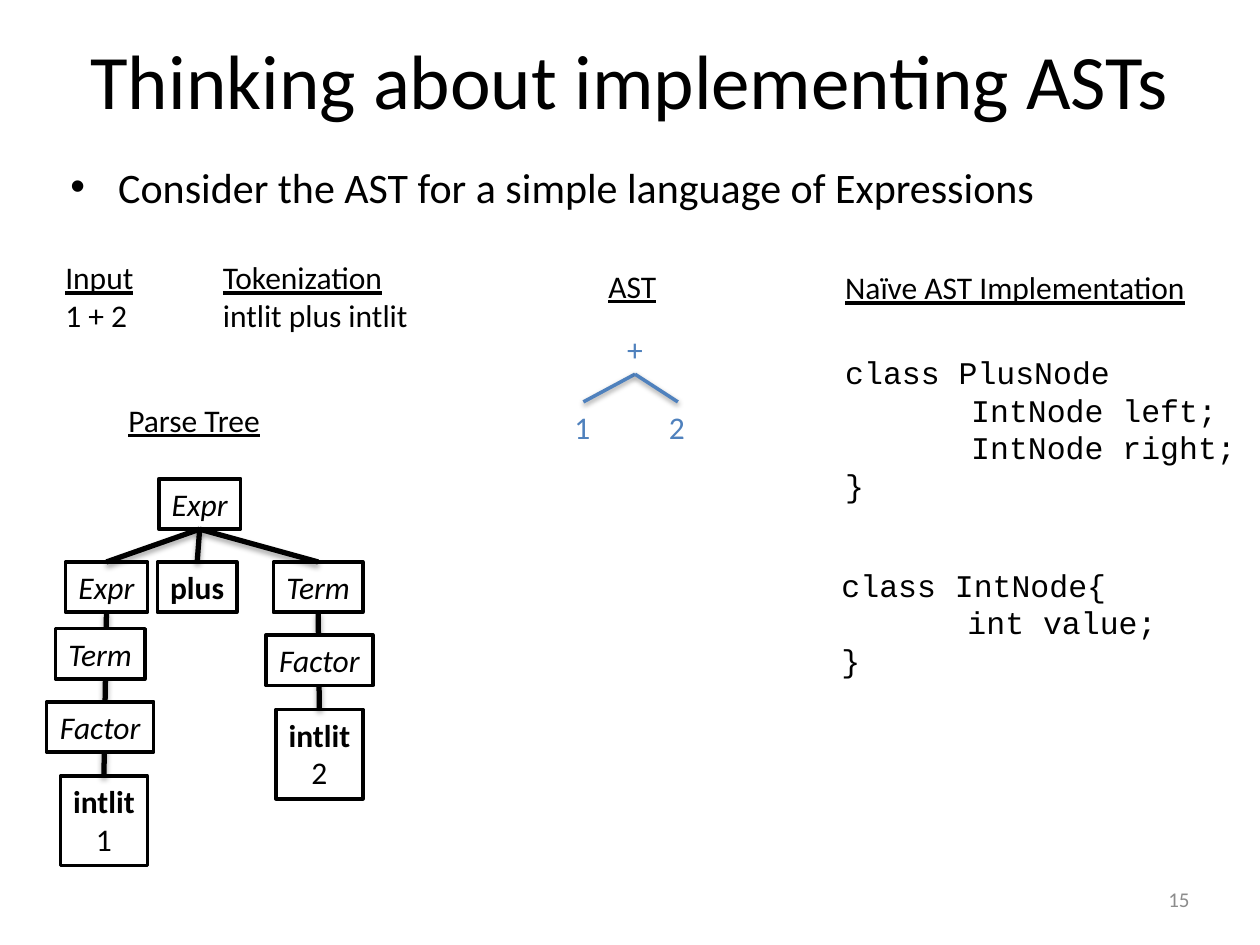
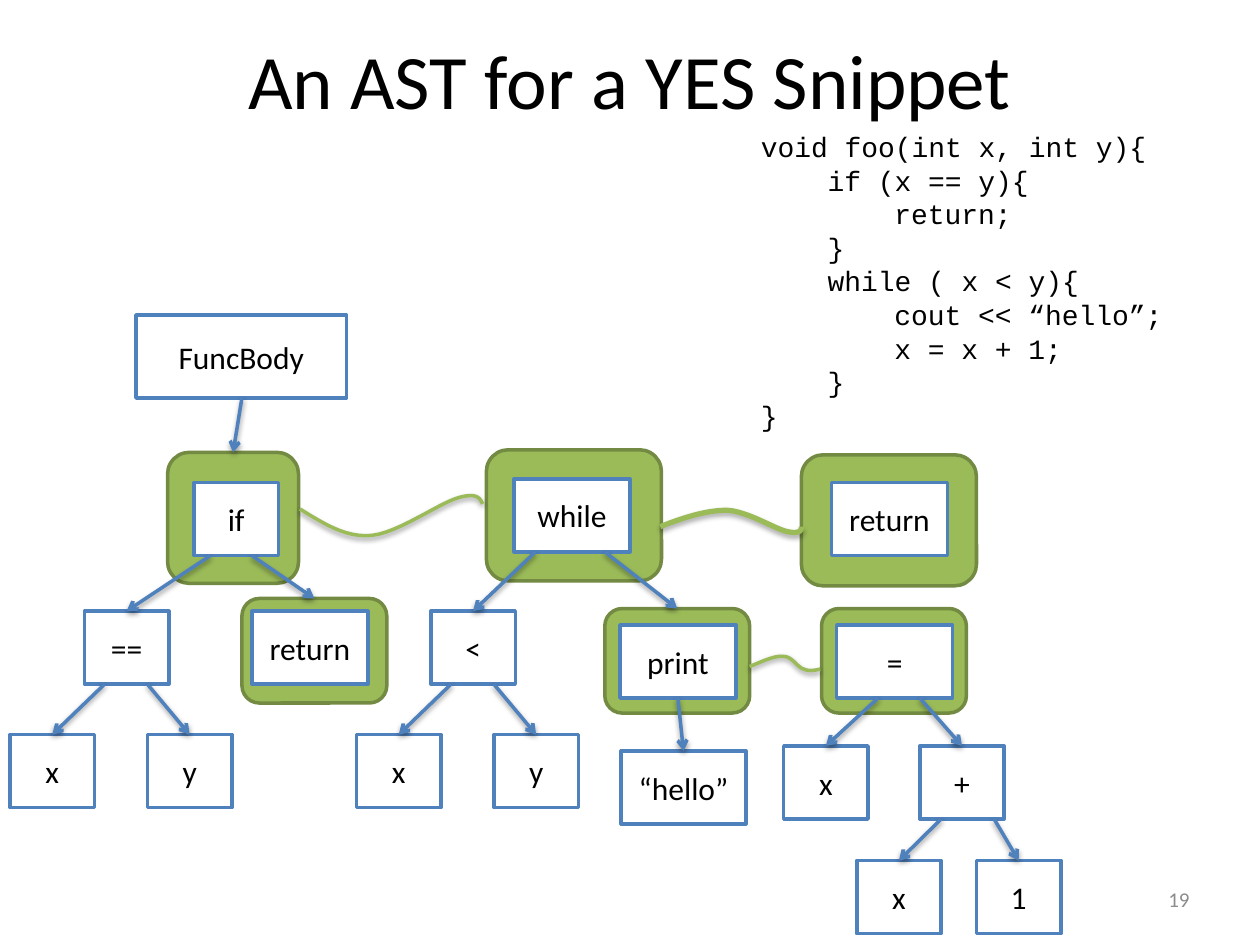
"""Two lecture slides on abstract syntax trees."""
from lxml import etree
from pptx import Presentation
from pptx import util as u
from pptx.dml.color import RGBColor
from pptx.enum import shapes, text
from pptx.oxml.ns import qn

COLORS = {
    "ink": "000000", "paper": "FFFFFF", "number": "8C8C8C",
    "blue": "4F81BD", "green": "9BBB59", "green_edge": "738A42",
}
BODY, CODE = "Calibri", "Courier New"
LEFT, CENTER, RIGHT = text.PP_ALIGN.LEFT, text.PP_ALIGN.CENTER, text.PP_ALIGN.RIGHT


def rgb(name):
    """Return the named palette colour."""
    return RGBColor.from_string(COLORS[name])


def curve_points(start, segments, steps=12):
    """Sample a chain of cubic Bezier segments given in inches."""
    points = [start]
    for first, second, end in segments:
        corners = (points[-1], first, second, end)
        for step in range(1, steps + 1):
            t = step / steps
            weights = ((1 - t) ** 3, 3 * t * (1 - t) ** 2, 3 * t * t * (1 - t), t ** 3)
            points.append(tuple(sum(w * c[axis] for w, c in zip(weights, corners))
                                for axis in (0, 1)))
    return points


class Deck:
    """Shared style plus the slide being drawn."""

    def __init__(self):
        """Start a 10 by 7.5 inch presentation."""
        self.presentation = Presentation()
        self.presentation.slide_width = u.Inches(10)
        self.presentation.slide_height = u.Inches(7.5)
        self.slide = None

    def new_slide(self, title, number):
        """Add a blank slide with its title and page number."""
        self.slide = self.presentation.slides.add_slide(self.presentation.slide_layouts[6])
        middle = text.MSO_ANCHOR.MIDDLE
        self.label((0.5, 0, 9, 1.25), [(title, "")], size=44, align=CENTER,
                   anchor=middle, wrap=True)
        self.label((7.21, 6.94, 2.33, 0.4), [(number, "")], size=12, align=RIGHT,
                   color="number", anchor=middle, wrap=True)

    def fill_text(self, shape, lines, size=18, font=BODY, color="ink", align=LEFT,
                  anchor=text.MSO_ANCHOR.TOP, wrap=False):
        """Fill a shape with (words, style) lines; style mixes b, i and u."""
        frame = shape.text_frame
        frame.word_wrap = wrap
        frame.vertical_anchor = anchor
        for index, (words, style) in enumerate(lines):
            paragraph = frame.add_paragraph() if index else frame.paragraphs[0]
            paragraph.alignment = align
            run = paragraph.add_run()
            run.text = words
            run.font.name, run.font.size = font, u.Pt(size)
            run.font.color.rgb = rgb(color)
            run.font.bold = "b" in style
            run.font.italic = "i" in style
            run.font.underline = "u" in style
        return frame

    def label(self, box, lines, **style):
        """Add a text box."""
        shape = self.slide.shapes.add_textbox(*map(u.Inches, box))
        return self.fill_text(shape, lines, **style)

    def bullet(self, box, words):
        """Add a text box holding one bulleted line."""
        paragraph = self.label(box, [(words, "")], size=24, wrap=True).paragraphs[0]
        paragraph.space_before = u.Pt(4.8)
        properties = self.indent(paragraph, 0.38, -0.38)
        etree.SubElement(properties, qn("a:buFont"), typeface="Arial")
        etree.SubElement(properties, qn("a:buChar"), char="•")

    def indent(self, paragraph, margin, first=0):
        """Set the left margin and first-line indent of a paragraph."""
        properties = paragraph._p.get_or_add_pPr()
        properties.set("marL", str(u.Inches(margin)))
        properties.set("indent", str(u.Inches(first)))
        return properties

    def code(self, box, lines, size, step, wrap=False):
        """Add a listing of (depth, words) lines, each depth indented one step."""
        frame = self.label(box, [(words, "") for _, words in lines],
                           size=size, font=CODE, wrap=wrap)
        for paragraph, (depth, _) in zip(frame.paragraphs, lines):
            self.indent(paragraph, depth * step)

    def box(self, place, fill="paper", edge="ink", kind=shapes.MSO_SHAPE.RECTANGLE):
        """Add a filled preset shape with a two-point outline."""
        shape = self.slide.shapes.add_shape(kind, *map(u.Inches, place))
        shape.shadow.inherit = False
        shape.fill.solid()
        shape.fill.fore_color.rgb = rgb(fill)
        shape.line.color.rgb = rgb(edge)
        shape.line.width = u.Pt(2)
        return shape

    def parse_node(self, place, *lines):
        """Add a black-edged parse tree node."""
        shape = self.box(place)
        self.fill_text(shape, lines, align=CENTER)
        return shape

    def ast_node(self, words, left, top, width=0.67, height=0.58):
        """Add a blue-edged AST node."""
        shape = self.box((left, top, width, height), edge="blue")
        self.fill_text(shape, [(words, "")], align=CENTER, anchor=text.MSO_ANCHOR.MIDDLE)
        return shape

    def frame(self, *place):
        """Add a green rounded frame behind a statement."""
        return self.box(place, "green", "green_edge", shapes.MSO_SHAPE.ROUNDED_RECTANGLE)

    def stroke(self, shape, color, weight, arrow=False):
        """Style a line and give it the soft shadow of its weight."""
        shape.line.color.rgb = rgb(color)
        shape.line.width = u.Pt(weight)
        properties = shape._element.spPr
        if arrow:
            etree.SubElement(properties.find(qn("a:ln")), qn("a:tailEnd"), type="arrow")
        effects = properties.find(qn("a:effectLst"))
        if effects is None:
            effects = etree.SubElement(properties, qn("a:effectLst"))
        distance, alpha = (1.8, 35000) if weight == 3 else (1.6, 38000)
        shadow = etree.SubElement(effects, qn("a:outerShdw"), blurRad=str(u.Pt(3.1)),
                                  dist=str(u.Pt(distance)), dir="5400000", rotWithShape="0")
        tint = etree.SubElement(shadow, qn("a:srgbClr"), val=COLORS["ink"])
        etree.SubElement(tint, qn("a:alpha"), val=str(alpha))

    def connector(self, start, end, color, weight, arrow=False):
        """Draw a straight line between two points in EMU."""
        line = self.slide.shapes.add_connector(shapes.MSO_CONNECTOR.STRAIGHT, *start, *end)
        self.stroke(line, color, weight, arrow)
        return line

    def branch(self, parent, child):
        """Join a parse tree node to one below it."""
        line = self.connector((0, 0), (0, 0), "ink", 3)
        line.begin_connect(parent, 2)
        line.end_connect(child, 0)

    def arrow(self, parent, child, offset):
        """Point from the parent's lower edge, offset from its left, to the child's top."""
        start = parent.left + u.Inches(offset), parent.top + parent.height
        end = child.left + child.width // 2, child.top
        self.connector(start, end, "blue", 2, arrow=True)

    def curve(self, start, segments, weight=2):
        """Draw an open green curve between sibling statements."""
        points = [(u.Inches(x), u.Inches(y)) for x, y in curve_points(start, segments)]
        builder = self.slide.shapes.build_freeform(*points[0])
        builder.add_line_segments(points[1:], close=False)
        shape = builder.convert_to_shape()
        shape.shadow.inherit = False
        shape.fill.background()
        self.stroke(shape, "green", weight)


def implementing_slide(deck):
    """Parse tree, AST and classes for 1 + 2."""
    deck.new_slide("Thinking about implementing ASTs", "15")
    deck.bullet((0.46, 1.23, 8.75, 4.95),
                "Consider the AST for a simple language of Expressions")
    deck.label((0.42, 2, 0.75, 0.71), [("Input", "u"), ("1 + 2", "")])
    deck.label((1.67, 2, 1.69, 0.71), [("Tokenization", "u"), ("intlit plus intlit", "")])
    for heading, place in (("Parse Tree", (0.92, 3.13, 1.26, 0.4)),
                           ("AST", (4.73, 2.07, 0.58, 0.4)),
                           ("Naïve AST Implementation", (6.61, 2.08, 2.93, 0.4))):
        deck.label(place, [(heading, "u")])

    root = deck.parse_node((1.26, 3.8, 0.65, 0.4), ("Expr", "i"))
    expr = deck.parse_node((0.52, 4.46, 0.65, 0.4), ("Expr", "i"))
    plus = deck.parse_node((1.25, 4.46, 0.63, 0.4), ("plus", "b"))
    term = deck.parse_node((2.17, 4.46, 0.71, 0.4), ("Term", "i"))
    one = deck.parse_node((0.48, 6.16, 0.69, 0.71), ("intlit", "b"), ("1", ""))
    two = deck.parse_node((2.19, 5.63, 0.69, 0.71), ("intlit", "b"), ("2", ""))
    for parent, child in ((root, expr), (root, plus), (root, term), (expr, one), (term, two)):
        deck.branch(parent, child)
    # These nodes sit on top of the long branches.
    deck.parse_node((0.44, 4.99, 0.71, 0.4), ("Term", "i"))
    deck.parse_node((0.37, 5.57, 0.85, 0.4), ("Factor", "i"))
    deck.parse_node((2.11, 5.04, 0.85, 0.4), ("Factor", "i"))

    for symbol, left, top in (("+", 4.88, 2.57), ("1", 4.46, 3.19), ("2", 5.21, 3.19)):
        deck.label((left, top, 0.33, 0.4), [(symbol, "")], color="blue")
    for x in (4.63, 5.38):
        deck.connector((u.Inches(5.04), u.Inches(2.97)), (u.Inches(x), u.Inches(3.19)),
                       "blue", 2)

    deck.code((6.61, 2.75, 3.32, 1.31),
              [(0, "class PlusNode"), (1, "IntNode left;"), (1, "IntNode right;"), (0, "}")],
              size=18, step=1)
    deck.code((6.58, 4.44, 2.72, 1.01),
              [(0, "class IntNode{"), (1, "int value;"), (0, "}")], size=18, step=1)


def snippet_slide(deck):
    """AST of a short function, with statement lists in green."""
    deck.new_slide("An AST for a YES Snippet", "19")
    deck.code((5.94, 0.98, 3.42, 2.52),
              [(0, "void foo(int x, int y){"), (1, "if (x == y){"), (2, "return;"),
               (1, "}"), (1, "while ( x < y){"), (2, "cout << “hello”;"),
               (2, "x = x + 1;"), (1, "}"), (0, "}")], size=16, step=0.53, wrap=True)

    if_frame = deck.frame(1.33, 3.59, 1.04, 1.04)
    deck.frame(3.86, 3.57, 1.39, 1.04)
    deck.frame(6.36, 3.61, 1.39, 1.04)
    return_frame = deck.frame(1.92, 4.75, 1.15, 0.83)
    deck.frame(4.8, 4.83, 1.15, 0.83)
    deck.frame(6.52, 4.83, 1.15, 0.83)
    print_frame = deck.slide.shapes[-2]

    body = deck.ast_node("FuncBody", 1.08, 2.5, 1.67, 0.66)
    if_node = deck.ast_node("if", 1.54, 3.83)
    while_node = deck.ast_node("while", 4.08, 3.8, 0.92)
    deck.ast_node("return", 6.6, 3.83, 0.92)
    deck.ast_node("return", 2, 4.85, 0.92)
    print_node = deck.ast_node("print", 4.92, 4.96, 0.92)
    assign = deck.ast_node("=", 6.64, 4.96, 0.92)
    hello = deck.ast_node("“hello”", 4.93, 5.96, 0.99)
    assign_x = deck.ast_node("x", 6.22, 5.92)
    add = deck.ast_node("+", 7.3, 5.92)
    add_x = deck.ast_node("x", 6.8, 6.83)
    add_one = deck.ast_node("1", 7.75, 6.83)

    comparisons = []
    for operator, left in (("==", 0.67), ("<", 3.42)):
        compare = deck.ast_node(operator, left, 4.85)
        deck.arrow(compare, deck.ast_node("x", left - 0.59, 5.83), 0.16)
        deck.arrow(compare, deck.ast_node("y", left + 0.5, 5.83), 0.5)
        comparisons.append(compare)
    equal, less = comparisons

    for parent, child, offset in (
            (body, if_frame, 0.84), (if_node, equal, 0.13), (if_node, return_frame, 0.46),
            (while_node, less, 0.17), (while_node, print_frame, 0.72),
            (print_node, hello, 0.46), (assign, assign_x, 0.33), (assign, add, 0.66),
            (add, add_x, 0.17), (add, add_one, 0.59)):
        deck.arrow(parent, child, offset)

    deck.curve((2.38, 4.04), [((2.56, 4.15), (2.74, 4.27), (2.95, 4.25)),
                              ((3.16, 4.23), (3.49, 3.99), (3.64, 3.95)),
                              ((3.78, 3.91), (3.81, 3.95), (3.83, 4))])
    deck.curve((5.24, 4.18), [((5.42, 4.11), (5.6, 4.05), (5.77, 4.05)),
                              ((5.94, 4.06), (6.15, 4.2), (6.25, 4.22)),
                              ((6.35, 4.24), (6.36, 4.21), (6.36, 4.18))], weight=3)
    deck.curve((5.95, 5.29), [((6.05, 5.25), (6.15, 5.2), (6.22, 5.21)),
                              ((6.29, 5.21), (6.33, 5.3), (6.38, 5.31)),
                              ((6.42, 5.33), (6.47, 5.32), (6.51, 5.31))])


deck = Deck()
implementing_slide(deck)
snippet_slide(deck)
deck.presentation.save("out.pptx")
